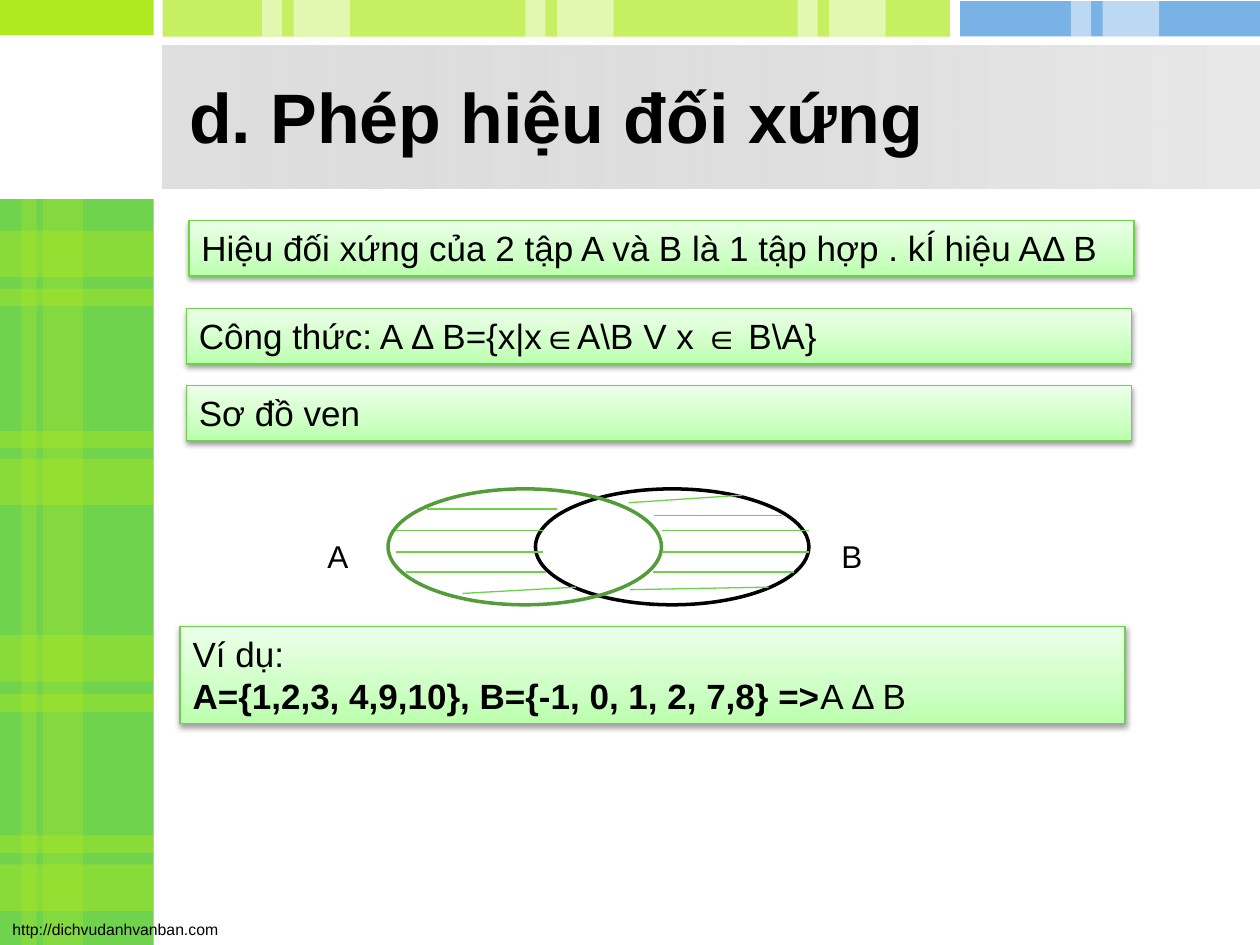
from lxml.etree import SubElement
from pptx import Presentation
from pptx.dml.color import RGBColor
from pptx.enum.shapes import MSO_CONNECTOR, MSO_SHAPE
from pptx.enum.text import MSO_ANCHOR, MSO_AUTO_SIZE, PP_ALIGN
from pptx.oxml.ns import qn
from pptx.util import Pt

PX = 9144  # EMU per px, 100 px to the inch

BLACK = RGBColor(0x00, 0x00, 0x00)
WHITE = RGBColor(0xFF, 0xFF, 0xFF)
GREEN = RGBColor(0x70, 0xD3, 0x4D)
LIME = RGBColor(0xAF, 0xE9, 0x1F)
BLUE = RGBColor(0x41, 0x92, 0xDB)
LINE_GREEN = RGBColor(0x6C, 0xD2, 0x48)
DARK_GREEN = RGBColor(0x53, 0x9C, 0x39)
SILVER = RGBColor(0xC0, 0xC0, 0xC0)
PALE_GRAY = RGBColor(0xE8, 0xE8, 0xE8)
BOX_STOPS = [(0, RGBColor(0xBB, 0xFF, 0xAD), 100),
             (35, RGBColor(0xCE, 0xFF, 0xC5), 100),
             (100, RGBColor(0xEC, 0xFF, 0xE9), 100)]

prs = Presentation()
prs.slide_width, prs.slide_height = 1000 * PX, 750 * PX
slide = prs.slides.add_slide(prs.slide_layouts[5])
shapes = slide.shapes


def add_plain(kind, left, top, width, height, color=None, opacity=100):
    """Add a shape without line or shadow, filled with one colour or none."""
    shape = shapes.add_shape(kind, left * PX, top * PX, width * PX, height * PX)
    shape.shadow.inherit = False
    shape.line.fill.background()
    if color is None:
        shape.fill.background()
        return shape
    shape.fill.solid()
    shape.fill.fore_color.rgb = color
    if opacity < 100:
        tint = next(shape.element.spPr.iter(qn("a:srgbClr")))
        SubElement(tint, qn("a:alpha"), val=str(opacity * 1000))
    return shape


def set_gradient(shape, stops, angle):
    """Fill with (position, colour, opacity) stops, all but the angle in percent."""
    shape.fill.gradient()
    shape.fill.gradient_angle = -angle % 360
    stop_list = next(shape.element.spPr.iter(qn("a:gsLst")))
    for old_stop in list(stop_list):
        stop_list.remove(old_stop)
    for position, color, opacity in stops:
        stop = SubElement(stop_list, qn("a:gs"), pos=str(position * 1000))
        tint = SubElement(stop, qn("a:srgbClr"), val=str(color))
        if opacity < 100:
            SubElement(tint, qn("a:alpha"), val=str(opacity * 1000))


# Plaid side band and top bar
RECT = MSO_SHAPE.RECTANGLE
add_plain(RECT, 0, 158, 122, 592, GREEN)
add_plain(RECT, 0, 0, 122, 28, LIME)
for wide_top, narrow_top in [(183, 229), (364, 342), (504, 551), (686, 663)]:
    add_plain(RECT, 0, wide_top, 122, 37, LIME, 40)
    add_plain(RECT, 0, narrow_top, 122, 14, LIME, 40)
for left, width in [(17, 12), (34, 32)]:
    add_plain(RECT, left, 158, width, 592, LIME, 30)
add_plain(RECT, 129, 0, 625, 29, LIME, 70)
add_plain(RECT, 762, 1, 238, 28, BLUE, 70)
for left in [208, 417, 633, 850]:
    add_plain(RECT, left, 0, 16, 29, WHITE, 50)
    add_plain(RECT, left + 25, 0, 45, 29, WHITE, 50)

# Title on its gray panel
panel = add_plain(RECT, 129, 36, 871, 114)
set_gradient(panel, [(0, SILVER, 50), (100, PALE_GRAY, 100)], 0)
title = shapes.title
title.element.getparent().append(title.element)  # bring in front of the panel
title.left, title.top, title.width, title.height = 140 * PX, 50 * PX, 710 * PX, 83 * PX
title.text_frame.auto_size = MSO_AUTO_SIZE.NONE
title.text_frame.vertical_anchor = MSO_ANCHOR.MIDDLE
heading = title.text_frame.paragraphs[0]
heading.alignment = PP_ALIGN.LEFT
run = heading.add_run()
run.text = "d. Phép hiệu đối xứng"
run.font.name, run.font.size, run.font.bold = "Arial", Pt(40), True
run.font.color.rgb = BLACK

# Green statement boxes: each paragraph is a list of (text, bold) runs
LEFT, JUSTIFY = PP_ALIGN.LEFT, PP_ALIGN.JUSTIFY
statements = [
    (150, 175, 44, [(LEFT, [("Hiệu đối xứng của 2 tập A và B là 1 tập hợp . kÍ hiệu AΔ B", False)])]),
    (148, 245, 44, [(JUSTIFY, [("Công thức: A Δ B={x|x∈A\\B V x ∈ B\\A}", False)])]),
    (148, 306, 44, [(JUSTIFY, [("Sơ đồ ven", False)])]),
    (143, 497, 77, [(JUSTIFY, [("Ví dụ: ", False)]),
                    (LEFT, [("A={1,2,3, 4,9,10}, B={-1, 0, 1, 2, 7,8} =>", True),
                            ("A Δ B", False)])]),
]
for left, top, height, paragraphs in statements:
    statement = add_plain(RECT, left, top, 750, height)
    set_gradient(statement, BOX_STOPS, 270)
    statement.line.color.rgb = LINE_GREEN
    statement.line.width = Pt(0.75)
    effects = statement.element.spPr.find(qn("a:effectLst"))
    shadow = SubElement(effects, qn("a:outerShdw"), blurRad="40000", dist="20000",
                        dir="5400000", rotWithShape="0")
    shade = SubElement(shadow, qn("a:srgbClr"), val=str(BLACK))
    SubElement(shade, qn("a:alpha"), val="38000")
    frame = statement.text_frame
    frame.word_wrap = True
    frame.auto_size = MSO_AUTO_SIZE.SHAPE_TO_FIT_TEXT
    frame.vertical_anchor = MSO_ANCHOR.TOP
    for index, (alignment, pieces) in enumerate(paragraphs):
        paragraph = frame.add_paragraph() if index else frame.paragraphs[0]
        paragraph.alignment = alignment
        for text, bold in pieces:
            run = paragraph.add_run()
            run.text = text
            run.font.name, run.font.size, run.font.bold = "Arial", Pt(20), bold
            run.font.color.rgb = BLACK

# Venn diagram: sets B and A
for left, fill, outline in [(425, WHITE, BLACK), (308, None, DARK_GREEN)]:
    venn_set = add_plain(MSO_SHAPE.OVAL, left, 388, 217, 92, fill)
    venn_set.line.color.rgb = outline
    venn_set.line.width = Pt(2)

# Hatching of A\B, then of B\A
hatching = [
    (339, 404, 442, 404), (314, 421, 431, 421), (314, 438, 431, 438),
    (322, 454, 433, 454), (367, 471, 457, 466),
    (499, 399, 589, 393), (519, 409, 621, 409), (525, 421, 642, 421),
    (525, 438, 642, 438), (518, 454, 630, 454), (500, 468, 610, 466),
]
for x1, y1, x2, y2 in hatching:
    hatch = shapes.add_connector(MSO_CONNECTOR.STRAIGHT, x1 * PX, y1 * PX, x2 * PX, y2 * PX)
    hatch.line.color.rgb = LINE_GREEN
    hatch.line.width = Pt(0.75)
    SubElement(hatch.element.spPr, qn("a:effectLst"))

# Set names and footer address
labels = [
    ("A", 250, 421, 58, 39, 18, True),
    ("B", 658, 421, 58, 39, 18, True),
    ("http://dichvudanhvanban.com", 0, 725, 185, 25, 9, False),
]
for text, left, top, width, height, size, wrap in labels:
    label = shapes.add_textbox(left * PX, top * PX, width * PX, height * PX)
    label.text_frame.word_wrap = wrap
    label.text_frame.auto_size = MSO_AUTO_SIZE.SHAPE_TO_FIT_TEXT
    run = label.text_frame.paragraphs[0].add_run()
    run.text = text
    run.font.name, run.font.size = "Arial", Pt(size)
    run.font.color.rgb = BLACK

prs.save("out.pptx")
